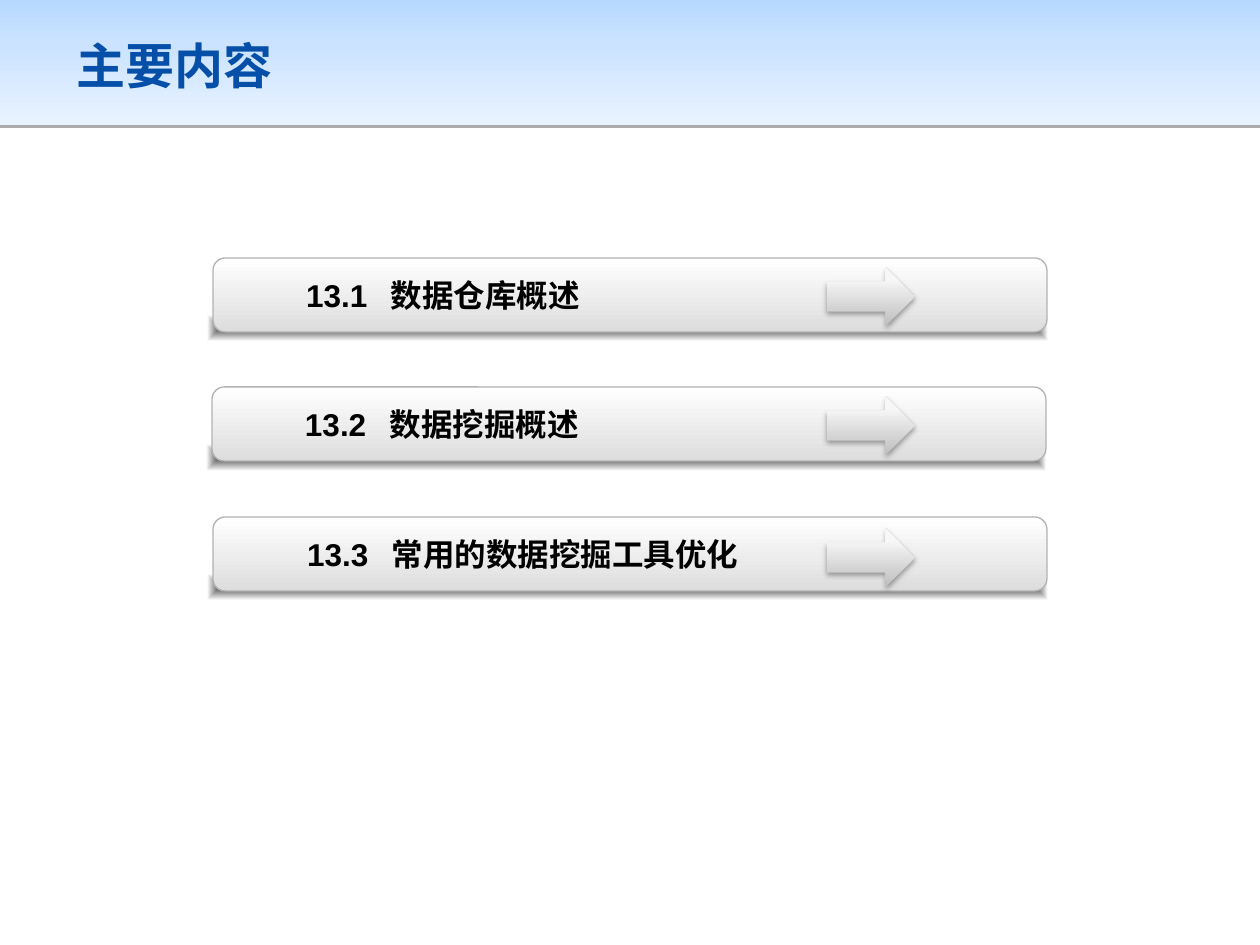
"""Build a contents slide with three numbered chapter bars."""
from pptx import Presentation
from pptx.dml.color import RGBColor as Rgb
from pptx.enum.shapes import MSO_SHAPE as Shape
from pptx.enum.text import MSO_ANCHOR as Anchor, PP_ALIGN as Align
from pptx.oxml import parse_xml
from pptx.oxml.ns import nsdecls
from pptx.util import Pt

COLORS = {
    "title": "054FA9", "text": "000000", "shadow": "000000", "edge": "B2B2B2",
    "sky": "B7D9FF", "pale_sky": "CBE3FF", "mist": "E8F3FF",
    "white": "FFFFFF", "silver": "DDDDDD",
    "gray": "BEBEBE", "light": "F7F7F7", "lightest": "F8F8F8",
}
HEADER_STOPS = [(0, "sky", 100), (35, "pale_sky", 100), (100, "mist", 100)]
BAR_STOPS = [(0, "white", 100), (100, "silver", 100)]
ARROW_STOPS = [(0, "gray", 100), (80, "light", 100), (100, "lightest", 100)]
SHADE_STOPS = [(0, "shadow", 70), (100, "shadow", 0)]
DOWN = '<a:lin ang="5400000" scaled="0"/>'
UP = '<a:lin ang="16200000" scaled="0"/>'
OUTWARD = ('<a:path path="shape"><a:fillToRect l="50000" t="50000" '
           'r="50000" b="50000"/></a:path>')
ROWS = [
    (213, 258, 9, 306, "13.1", "数据仓库概述"),
    (212, 387, 9, 305, "13.2", "数据挖掘概述"),
    (213, 517, 11, 307, "13.3", "常用的数据挖掘工具优化"),
]


def emu(pixels):
    return round(pixels * 914400 / 126)


def color_xml(name, alpha):
    return (f'<a:srgbClr val="{COLORS[name]}">'
            f'<a:alpha val="{alpha * 1000}"/></a:srgbClr>')


class SlideBuilder:
    """Hold the style and the current slide."""

    font = "Arial"

    def __init__(self, deck):
        self.page = deck.slides.add_slide(deck.slide_layouts[5])

    def style(self, paragraph, size, color):
        paragraph.alignment = Align.LEFT
        paragraph.font.name = self.font
        paragraph.font.size = Pt(size)
        paragraph.font.bold = True
        paragraph.font.color.rgb = Rgb.from_string(COLORS[color])

    def title(self, text, left, top, width, height):
        box = self.page.shapes.title
        box.left, box.top = emu(left), emu(top)
        box.width, box.height = emu(width), emu(height)
        box.text_frame.text = text
        box.text_frame.vertical_anchor = Anchor.MIDDLE
        self.style(box.text_frame.paragraphs[0], 28, "title")

    def panel(self, kind, frame, stops, direction, edge=None):
        panel = self.page.shapes.add_shape(kind, *map(emu, frame))
        marks = "".join(
            f'<a:gs pos="{place * 1000}">{color_xml(name, alpha)}</a:gs>'
            for place, name, alpha in stops)
        gradient = parse_xml(
            f'<a:gradFill {nsdecls("a")} rotWithShape="1">'
            f'<a:gsLst>{marks}</a:gsLst>{direction}</a:gradFill>')
        panel._element.spPr.prstGeom.addnext(gradient)
        if edge:
            panel.line.color.rgb = Rgb.from_string(COLORS[edge])
            panel.line.width = Pt(0.75)
        else:
            panel.line.fill.background()
        panel.shadow.inherit = False
        return panel

    def cast_shadow(self, panel, alpha, blur, distance):
        panel._element.spPr.find("{*}effectLst").append(parse_xml(
            f'<a:outerShdw {nsdecls("a")} blurRad="{Pt(blur)}" '
            f'dist="{Pt(distance)}" dir="5400000" rotWithShape="0">'
            f'{color_xml("shadow", alpha)}</a:outerShdw>'))

    def header(self, width, height):
        band = self.panel(Shape.RECTANGLE, (0, 0, width, height), HEADER_STOPS, DOWN)
        self.cast_shadow(band, 33, 0, 1.6)
        self.page.shapes._spTree.insert(2, band._element)

    def label(self, number, text, left, top, width, height):
        box = self.page.shapes.add_textbox(*map(emu, (left, top, width, height)))
        frame = box.text_frame
        frame.word_wrap = True
        frame.vertical_anchor = Anchor.MIDDLE
        frame.margin_left = 0
        para = frame.paragraphs[0]
        para.text = f"{number}\t{text}"
        self.style(para, 18, "text")
        para._p.get_or_add_pPr().insert(0, parse_xml(
            f'<a:tabLst {nsdecls("a")}><a:tab pos="{emu(85)}" algn="l"/></a:tabLst>'))

    def arrow(self, left, top, width, height):
        arrow = self.panel(Shape.RIGHT_ARROW, (left, top, width, height), ARROW_STOPS, UP)
        self.cast_shadow(arrow, 35, 3.1, 1.8)

    def bar(self, left, top, arrow_drop, text_left, number, text):
        self.panel(Shape.RECTANGLE, (left - 5, top + 58, 839, 25), SHADE_STOPS, OUTWARD)
        self.panel(Shape.ROUNDED_RECTANGLE, (left, top, 834, 74), BAR_STOPS, DOWN, "edge")
        self.label(number, text, text_left, top, 500, 74)
        self.arrow(827, top + arrow_drop, 88, 59)


def main():
    deck = Presentation()
    deck.slide_width, deck.slide_height = emu(1260), emu(945)
    builder = SlideBuilder(deck)
    builder.header(1260, 125)
    builder.title("主要内容", 64, 20, 1131, 90)
    for row in ROWS:
        builder.bar(*row)
    deck.save("out.pptx")


if __name__ == "__main__":
    main()
